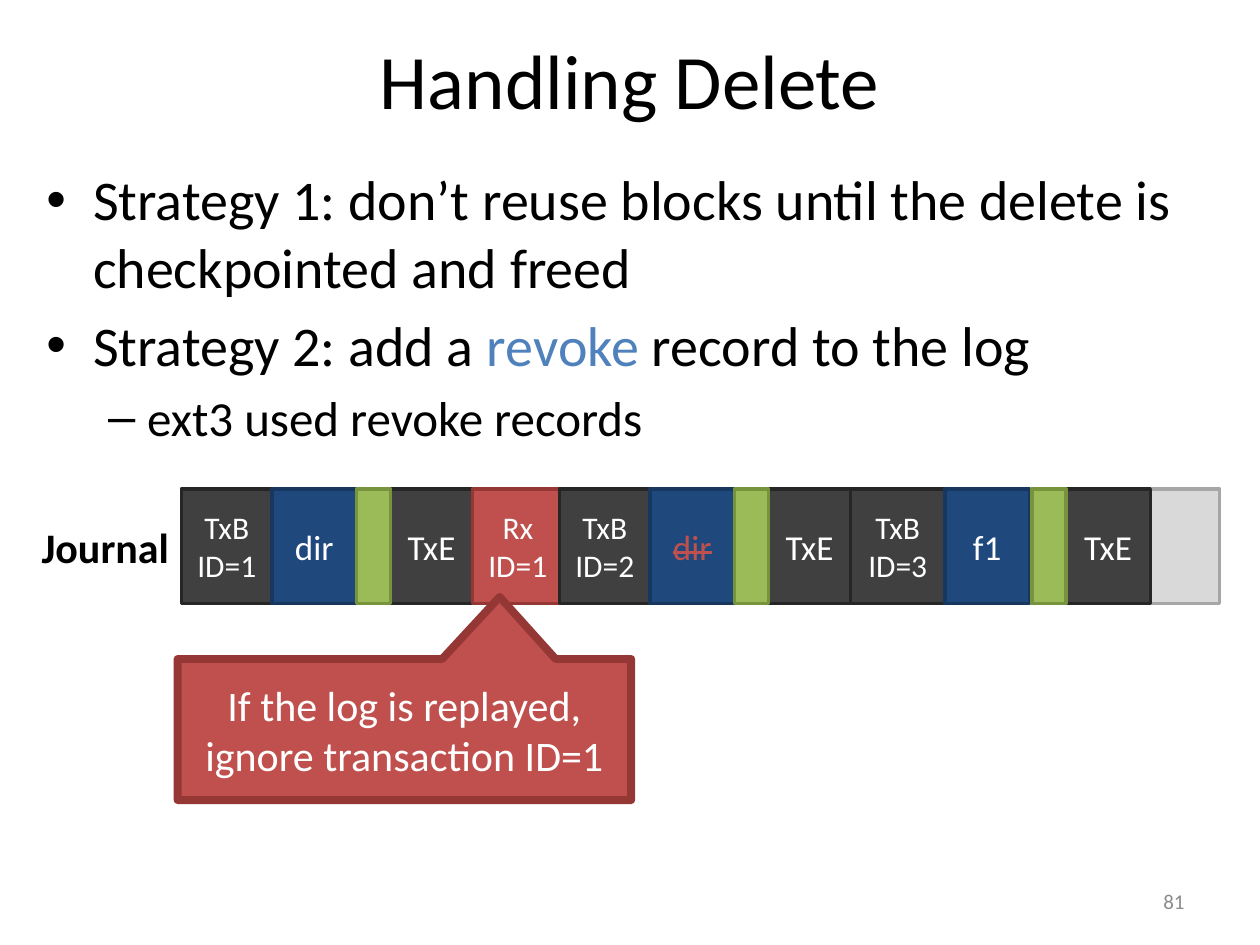
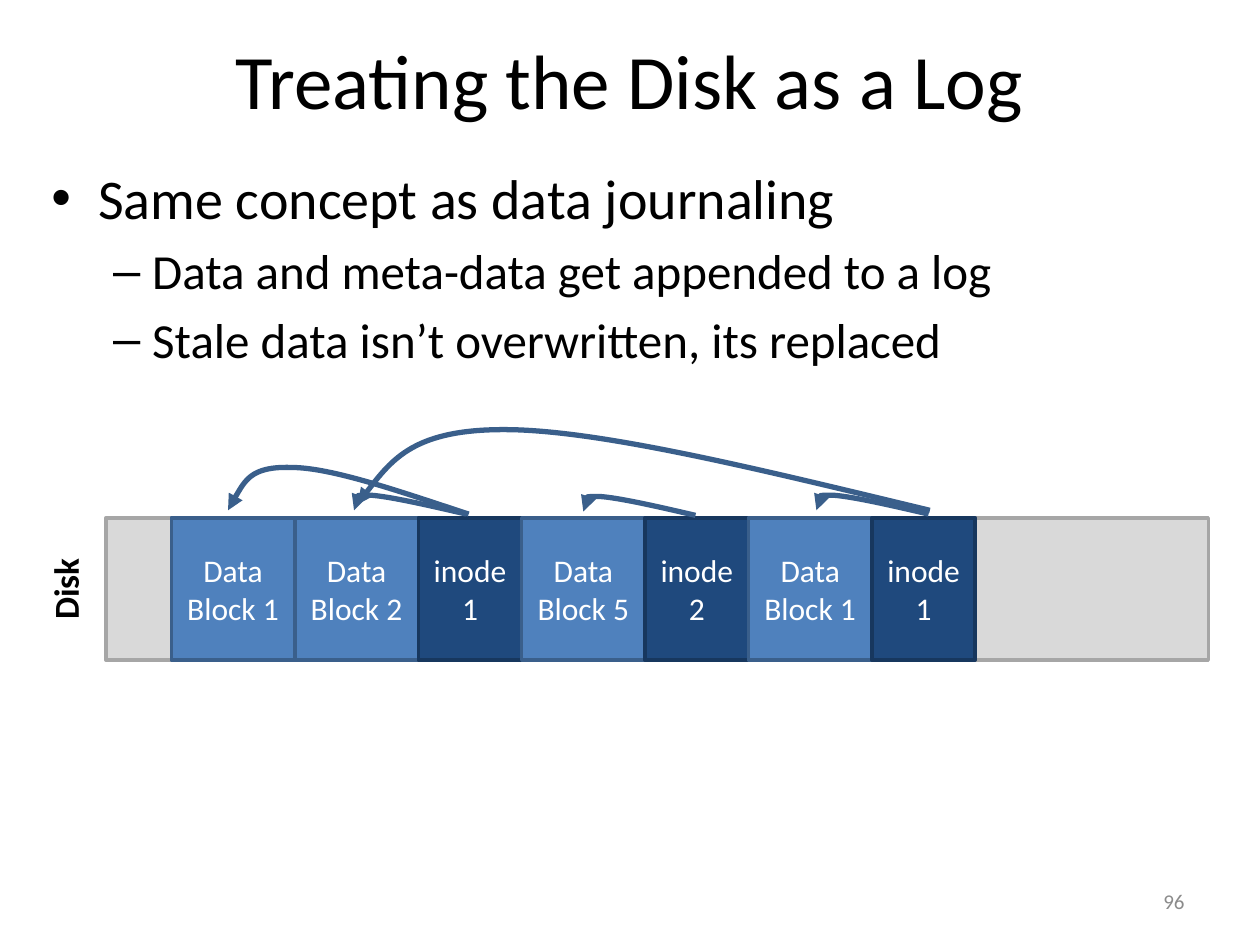
from lxml import etree
from pptx import Presentation
from pptx.dml.color import RGBColor
from pptx.enum import shapes, text
from pptx.oxml.ns import qn
from pptx.util import Inches, Pt

FONT = "Calibri"
BLACK = RGBColor(0, 0, 0)
WHITE = RGBColor(255, 255, 255)
MUTED = RGBColor(0x8B, 0x8B, 0x8B)
RED = RGBColor(0xC0, 0x50, 0x4D)
BLUE = RGBColor(0x4F, 0x81, 0xBD)
EDGE = RGBColor(0x3A, 0x5F, 0x8B)

PALE = RGBColor(0xD9, 0xD9, 0xD9), RGBColor(0xA6, 0xA6, 0xA6)
DARK = RGBColor(0x40, 0x40, 0x40), RGBColor(0x26, 0x26, 0x26)
NAVY = RGBColor(0x1F, 0x49, 0x7D), RGBColor(0x17, 0x37, 0x5E)
GREEN = RGBColor(0x9B, 0xBB, 0x59), RGBColor(0x77, 0x93, 0x3C)
ALERT = RED, RGBColor(0x95, 0x37, 0x35)
DATA = BLUE, EDGE

LEFT, CENTER, RIGHT = text.PP_ALIGN.LEFT, text.PP_ALIGN.CENTER, text.PP_ALIGN.RIGHT
TOP, MIDDLE = text.MSO_ANCHOR.TOP, text.MSO_ANCHOR.MIDDLE
RECT = shapes.MSO_SHAPE.RECTANGLE
LEVELS = [("•", 0.38, -0.37, 32, 6.4), ("–", 0.81, -0.31, 28, 5.6)]


def write(para, words, size=18, color=BLACK, bold=False, strike=False):
    run = para.add_run()
    run.text = words
    font = run.font
    font.name, font.size, font.bold = FONT, Pt(size), bold
    font.color.rgb = color
    if strike:
        run._r.get_or_add_rPr().set("strike", "sngStrike")


class Deck:
    def __init__(self):
        self.show = Presentation()
        self.show.slide_width, self.show.slide_height = Inches(10), Inches(7.5)

    def start(self, title, number):
        self.slide = self.show.slides.add_slide(self.show.slide_layouts[6])
        self.label(title, (0.5, 0, 9, 1.25), CENTER, MIDDLE, size=44)
        self.label(number, (7.17, 6.95, 2.33, 0.4), RIGHT, MIDDLE, size=12, color=MUTED)

    def frame(self, box, anchor=TOP):
        item = self.slide.shapes.add_textbox(*map(Inches, box))
        item.text_frame.word_wrap = True
        item.text_frame.vertical_anchor = anchor
        return item

    def label(self, words, box, align=LEFT, anchor=TOP, turn=0, **style):
        item = self.frame(box, anchor)
        item.rotation = turn
        para = item.text_frame.paragraphs[0]
        para.alignment = align
        write(para, words, **style)

    def points(self, box, lines):
        body = self.frame(box).text_frame
        for index, (level, *parts) in enumerate(lines):
            mark, margin, indent, size, space = LEVELS[level]
            para = body.add_paragraph() if index else body.paragraphs[0]
            props = para._p.get_or_add_pPr()
            props.set("marL", str(Inches(margin)))
            props.set("indent", str(Inches(indent)))
            etree.SubElement(props, qn("a:buFont"), typeface="Arial")
            etree.SubElement(props, qn("a:buChar"), char=mark)
            para.space_before = Pt(space if index else 0)
            for words, color in parts:
                write(para, words, size=size, color=color)

    def block(self, words, box, look, kind=RECT, width=2, **style):
        item = self.slide.shapes.add_shape(kind, *map(Inches, box))
        item.shadow.inherit = False
        item.fill.solid()
        item.fill.fore_color.rgb, item.line.color.rgb = look
        item.line.width = Pt(width)
        body = item.text_frame
        body.word_wrap, body.vertical_anchor = True, MIDDLE
        for index, line in enumerate(words.split("\n") if words else []):
            para = body.add_paragraph() if index else body.paragraphs[0]
            para.alignment = CENTER
            write(para, line, **{"color": WHITE, **style})
        return item

    def row(self, left, top, height, cells):
        placed = []
        for words, look, width, step, style in cells:
            placed.append((words, (left, top, width, height), look, style))
            left += step
        for words, box, look, style in sorted(placed, key=lambda cell: cell[2] == GREEN):
            self.block(words, box, look, **style)

    def curve(self, start, *knots):
        pen = self.slide.shapes.build_freeform(*map(Inches, start), scale=1.0)
        pen.add_line_segments([tuple(map(Inches, knot)) for knot in knots], close=False)
        item = pen.convert_to_shape()
        item.shadow.inherit = False
        item.fill.background()
        item.line.color.rgb, item.line.width = EDGE, Pt(3)
        lines = list(item._element.iter(qn("a:lnTo")))
        for index in range(0, len(lines), 3):
            bend = etree.Element(qn("a:cubicBezTo"))
            lines[index].addprevious(bend)
            for line in lines[index:index + 3]:
                bend.append(line[0])
                line.getparent().remove(line)
        etree.SubElement(item.line._get_or_add_ln(), qn("a:tailEnd"), type="triangle")


def cell(words, look, width, step=None, **style):
    return words, look, width, step or width, style


def delete(deck):
    deck.start("Handling Delete", "81")
    deck.points((0.26, 1.26, 9.49, 2.48), [
        (0, ("Strategy 1: don’t reuse blocks until the delete is checkpointed and freed", BLACK)),
        (0, ("Strategy 2: add a ", BLACK), ("revoke", BLUE), (" record to the log", BLACK)),
        (1, ("ext3 used revoke records", BLACK)),
    ])
    left, top, height = 1.44, 3.88, 0.91
    deck.block("", (left, top, 8.24, height), PALE)
    deck.label("Journal", (0.16, 4.09, 1.28, 0.5), RIGHT, size=24, bold=True)
    gap = cell("", GREEN, 0.27)
    end = cell("TxE", DARK, 0.65, size=20)
    deck.row(left, top, height, [
        cell("TxB\nID=1", DARK, 0.72),
        cell("dir", NAVY, 0.67, size=20),
        gap, end,
        cell("Rx\nID=1", ALERT, 0.72, 0.69),
        cell("TxB\nID=2", DARK, 0.72),
        cell("dir", NAVY, 0.67, size=20, color=RED, strike=True),
        gap, end,
        cell("TxB\nID=3", DARK, 0.75),
        cell("f1", NAVY, 0.67, 0.69, size=20),
        gap,
        cell("TxE", DARK, 0.67, size=20),
    ])
    note = deck.block("If the log is replayed, ignore transaction ID=1", (1.41, 5.23, 3.6, 1.12),
                      ALERT, shapes.MSO_SHAPE.RECTANGULAR_CALLOUT, 4.5, size=24)
    note.adjustments[0], note.adjustments[1] = 0.21, -0.94


def log(deck):
    deck.start("Treating the Disk as a Log", "96")
    deck.points((0.3, 1.25, 9.49, 1.89), [
        (0, ("Same concept as data journaling", BLACK)),
        (1, ("Data and meta-data get appended to a log", BLACK)),
        (1, ("Stale data isn’t overwritten, its replaced", BLACK)),
    ])
    top, height = 4.11, 1.13
    deck.block("", (0.84, top, 8.75, height), PALE)
    deck.label("Disk", (-0.2, 4.46, 1.43, 0.43), CENTER, turn=270, size=20, bold=True)
    names = ["Data Block 1", "Data Block 2", "inode\n1", "Data Block 5", "inode\n2",
             "Data Block 1", "inode\n1"]
    deck.row(1.36, top, height, [
        cell(name, DATA, 0.98) if name.startswith("Data") else cell(name, NAVY, 0.82)
        for name in names
    ])
    for x, y in [(3.7, 4.08), (5.52, 4.09), (7.37, 4.08)]:
        hops = [(-0.3, -0.07), (-0.61, -0.14), (-0.76, -0.15),
                (-0.91, -0.15), (-0.9, -0.09), (-0.89, -0.03)]
        deck.curve((x, y), *[(x + dx, y + dy) for dx, dy in hops])
    deck.curve((3.72, 4.08), (3.17, 3.9), (2.63, 3.71), (2.31, 3.71),
               (1.99, 3.7), (1.9, 3.88), (1.81, 4.05))
    deck.curve((7.38, 4.05), (6.09, 3.74), (4.8, 3.42), (4.04, 3.41),
               (3.29, 3.4), (3.06, 3.7), (2.84, 4))


def main():
    deck = Deck()
    delete(deck)
    log(deck)
    deck.show.save("out.pptx")


if __name__ == "__main__":
    main()
